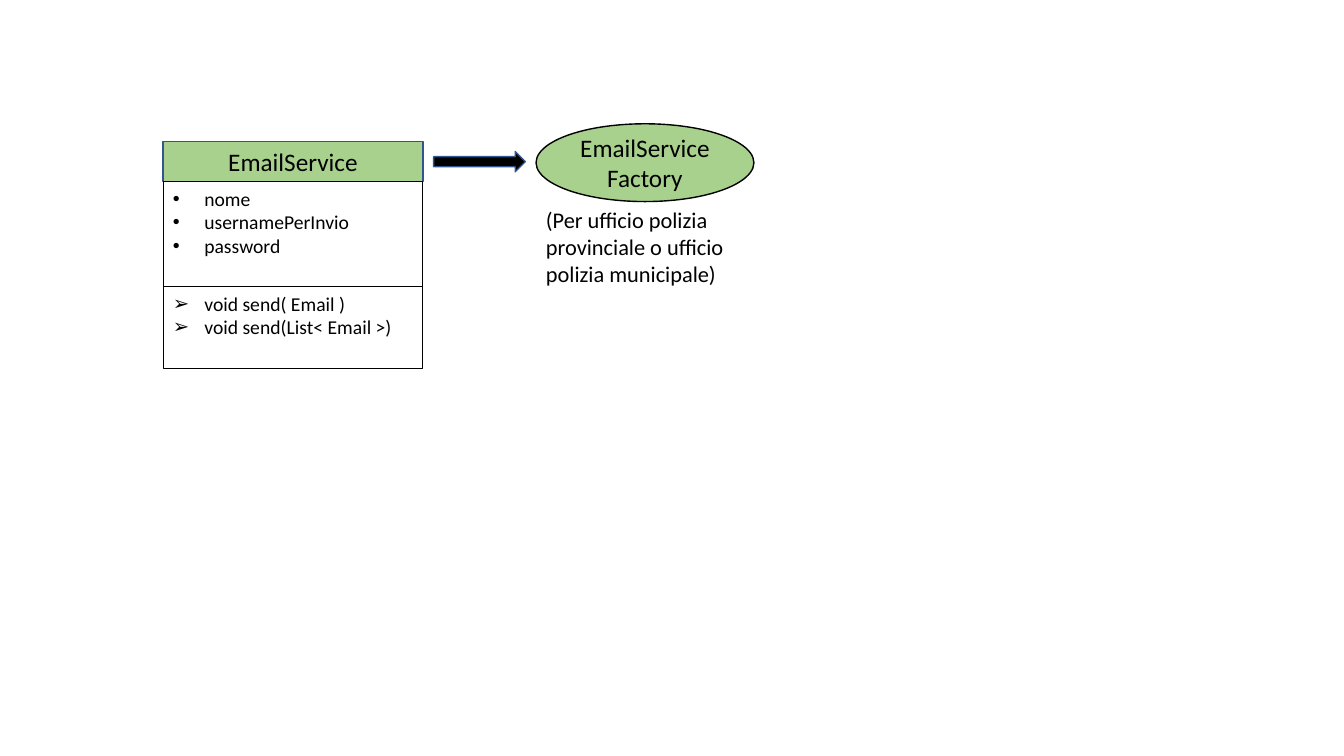
from dataclasses import dataclass
from lxml.etree import SubElement
from pptx import Presentation
from pptx.dml.color import RGBColor
from pptx.enum.shapes import MSO_SHAPE
from pptx.enum.text import MSO_ANCHOR, PP_ALIGN
from pptx.oxml.ns import qn
from pptx.util import Cm, Pt


@dataclass(frozen=True)
class Theme:
    font: str = "Calibri"
    green: str = "A9D18E"
    black: str = "000000"
    blue: str = "325491"
    head: int = 18
    note: int = 16
    item: int = 14


LOOK = Theme()
NAME = "EmailService"
PARTS = [
    (2.64, "•", ["nome", "usernamePerInvio", "password"]),
    (2.06, "➢", ["void send( Email )", "void send(List< Email >)"]),
]
MAKER = "EmailServiceFactory"
NOTE = "(Per ufficio polizia provinciale o ufficio polizia municipale)"

LEFT, TOP, WIDE, HEAD = 4.11, 3.56, 6.55, 1.02
OVAL = (13.51, 3.12, 5.49, 1.96)
ARROW = (10.93, 3.82, 2.31, 0.51)
NOTE_BOX = (OVAL[0], OVAL[1] + OVAL[3], 5.99, 2.31)


def draw(home, kind, box, fill, line, width):
    shape = home.add_shape(kind, *map(Cm, box))
    shape.shadow.inherit = False
    if fill:
        shape.fill.solid()
        shape.fill.fore_color.rgb = RGBColor.from_string(fill)
    else:
        shape.fill.background()
    shape.line.color.rgb = RGBColor.from_string(line)
    shape.line.width = Pt(width)
    return shape


def write(shape, lines, size, align=PP_ALIGN.LEFT, anchor=MSO_ANCHOR.TOP, mark=None):
    frame = shape.text_frame
    frame.word_wrap = True
    frame.vertical_anchor = anchor
    for i, line in enumerate(lines):
        para = frame.add_paragraph() if i else frame.paragraphs[0]
        para.alignment = align
        run = para.add_run()
        run.text = line
        run.font.name = LOOK.font
        run.font.size = Pt(size)
        run.font.color.rgb = RGBColor.from_string(LOOK.black)
        if mark:
            props = para._p.get_or_add_pPr()
            props.set("marL", str(Cm(0.79)))
            props.set("indent", str(-Cm(0.79)))
            SubElement(props, qn("a:buFont"), typeface="Arial")
            SubElement(props, qn("a:buChar"), char=mark)


def label(shape, text):
    write(shape, [text], LOOK.head, PP_ALIGN.CENTER, MSO_ANCHOR.MIDDLE)


deck = Presentation()
deck.slide_width, deck.slide_height = Cm(33.87), Cm(19.05)
slide = deck.slides.add_slide(deck.slide_layouts[6])
shapes = slide.shapes

card = shapes.add_group_shape().shapes
title = draw(card, MSO_SHAPE.RECTANGLE, (LEFT, TOP, WIDE, HEAD), LOOK.green, LOOK.blue, 1)
label(title, NAME)
top = TOP + HEAD
for high, mark, lines in PARTS:
    part = draw(card, MSO_SHAPE.RECTANGLE, (LEFT, top, WIDE, high), None, LOOK.black, 0.75)
    write(part, lines, LOOK.item, mark=mark)
    top += high

label(draw(shapes, MSO_SHAPE.OVAL, OVAL, LOOK.green, LOOK.black, 1), MAKER)
draw(shapes, MSO_SHAPE.RIGHT_ARROW, ARROW, LOOK.black, LOOK.blue, 1)
write(shapes.add_textbox(*map(Cm, NOTE_BOX)), [NOTE], LOOK.note)

deck.save("out.pptx")
